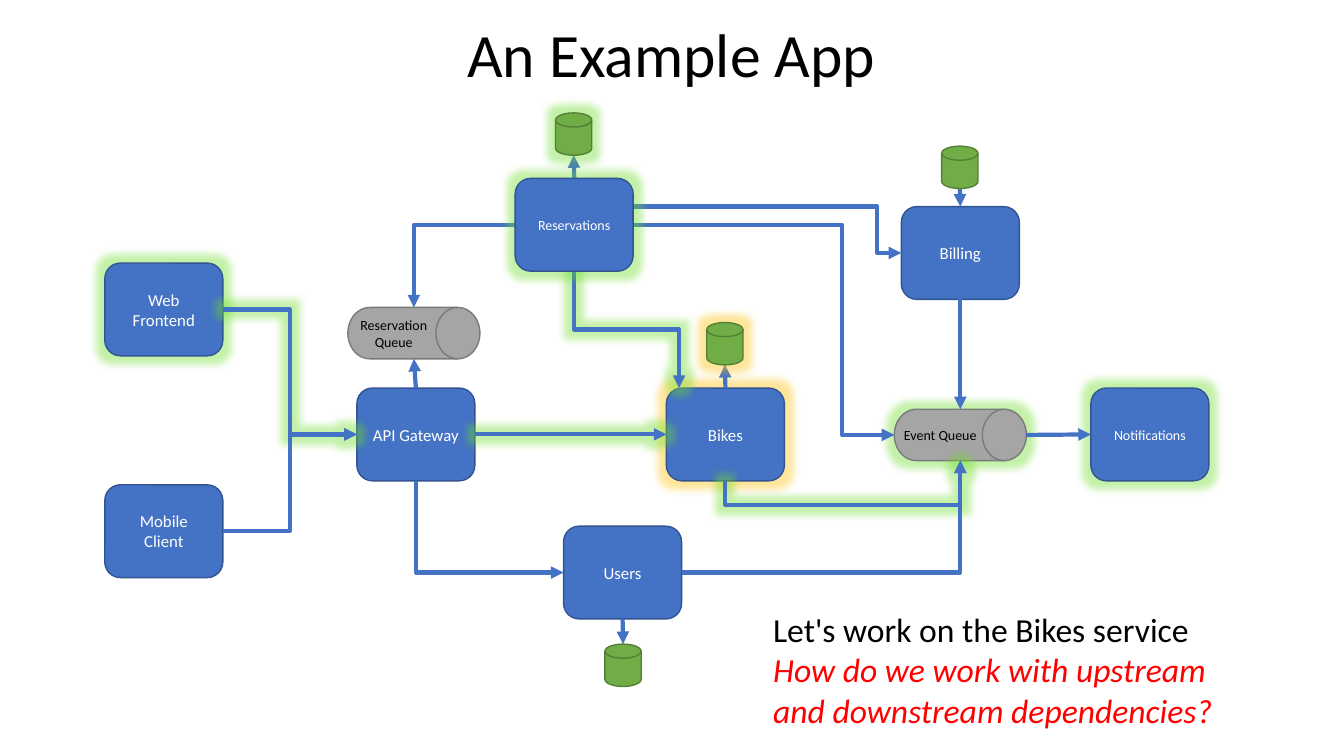
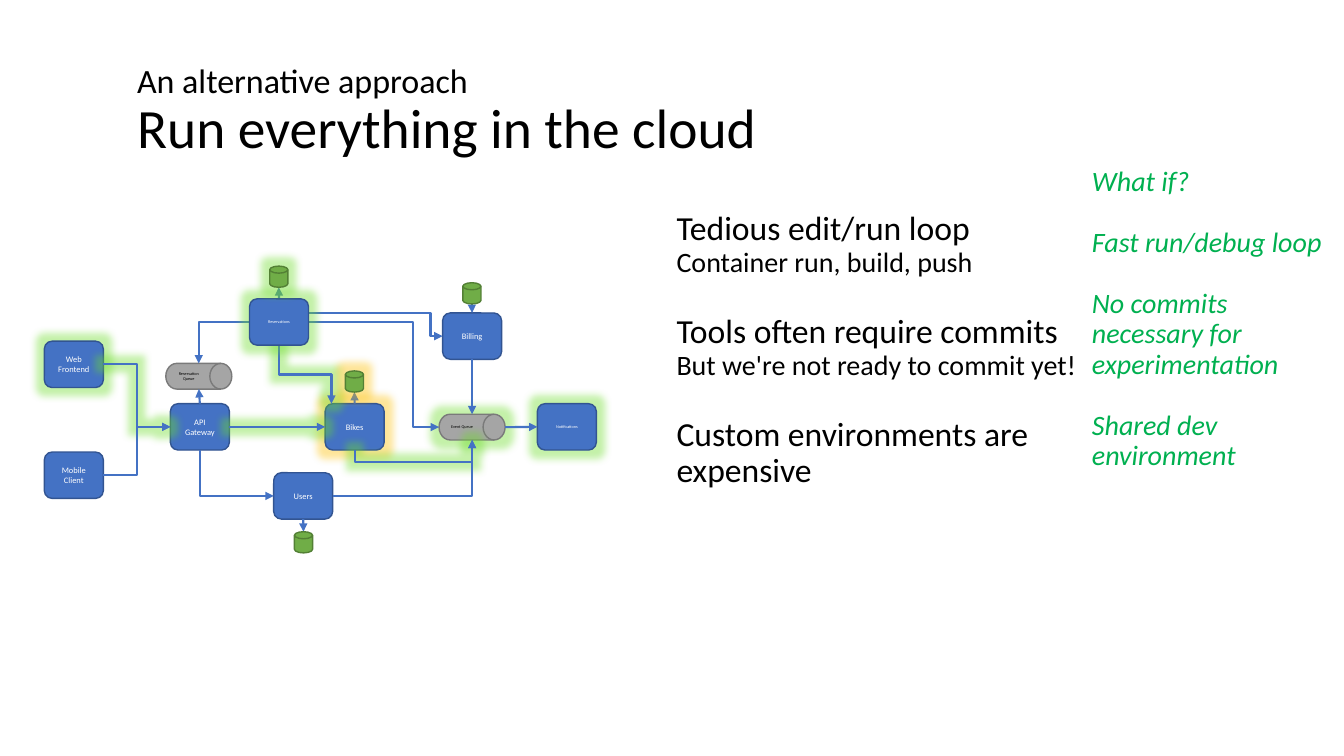
from dataclasses import dataclass

from lxml.etree import SubElement
from pptx import Presentation
from pptx.dml.color import RGBColor
from pptx.enum.shapes import MSO_CONNECTOR as CONNECTOR, MSO_SHAPE as SHAPE
from pptx.enum.text import MSO_ANCHOR as ANCHOR, MSO_AUTO_SIZE as AUTO_SIZE, PP_ALIGN as ALIGN
from pptx.oxml.ns import qn
from pptx.util import Inches, Pt


class Theme:
    font = "Calibri"
    black, white, red, green = "000000", "FFFFFF", "FF0000", "00B050"
    wire = "4472C4"
    glows = {"green": "6CDD29", "amber": "FFC000"}
    glow_radius, glow_alpha = Pt(11), 40000
    title, text, detail = 44, 24, 20
    kicker, headline = 24.3, 39.6
    line_spacing = 0.9


# kind: preset, width, height, fill, outline
KINDS = {
    "service": (SHAPE.ROUNDED_RECTANGLE, 1.17, 0.92, "4472C4", "325491"),
    "queue": (SHAPE.FLOWCHART_DIRECT_ACCESS_STORAGE, 1.31, 0.51, "A5A5A5", "7A7A7A"),
    "store": (SHAPE.FLOWCHART_MAGNETIC_DISK, 0.36, 0.42, "70AD47", "538035"),
}

# name: kind, left, top, glow, text size
NODES = {
    "API Gateway": ("service", 3.54, 3.85, None, "normal"),
    "Event Queue": ("queue", 8.87, 4.06, "green", "small"),
    "Bikes": ("service", 6.61, 3.85, "amber", "normal"),
    "Notifications": ("service", 10.82, 3.85, "green", "small"),
    "Web Frontend": ("service", 1.04, 2.61, "green", "normal"),
    "Mobile Client": ("service", 1.04, 4.81, None, "normal"),
    "Reservation Queue": ("queue", 3.45, 3.05, None, "small"),
    "Billing": ("service", 8.94, 2.05, None, "normal"),
    "Users": ("service", 5.59, 5.22, None, "normal"),
    "Reservations": ("service", 5.11, 1.77, "green", "small"),
    "Bikes store": ("store", 7.01, 3.2, "amber", None),
    "Reservations store": ("store", 5.51, 1.12, "green", None),
    "Billing store": ("store", 9.34, 1.45, None, None),
    "Users store": ("store", 6, 6.39, None, None),
}
IN_FRONT = [name for name in NODES if name.startswith("Reservations") or name.endswith("store")]

# (node, side, shift along the side), same for the end, route, glow
# route: "straight", "corner" or the share of the way at which the wire bends
WIRES = [
    (("Web Frontend", "right", 0), ("API Gateway", "left", 0), 0.5, "green"),
    (("Mobile Client", "right", 0), ("API Gateway", "left", 0), 0.5, None),
    (("Bikes", "top", 0), ("Bikes store", "bottom", 0), "straight", None),
    (("API Gateway", "top", 0), ("Reservation Queue", "bottom", 0), "straight", None),
    (("Bikes", "bottom", 0), ("Event Queue", "bottom", 0), -1.19, "green"),
    (("Event Queue", "right", 0), ("Notifications", "left", 0), "straight", None),
    (("Reservations", "left", 0), ("Reservation Queue", "top", 0), "corner", None),
    (("Billing", "bottom", 0), ("Event Queue", "top", 0), "straight", None),
    (("API Gateway", "bottom", 0), ("Users", "left", 0), "corner", None),
    (("API Gateway", "right", 0), ("Bikes", "left", 0), 0.5, "green"),
    (("Users", "right", 0), ("Event Queue", "bottom", 0), "corner", None),
    (("Reservations", "right", 0), ("Event Queue", "left", 0), 0.8, None),
    (("Reservations", "right", -0.18), ("Billing", "left", 0), 0.91, None),
    (("Reservations", "bottom", 0), ("Bikes", "top", -0.46), 0.5, "green"),
    (("Reservations", "top", 0), ("Reservations store", "bottom", 0), "straight", None),
    (("Billing store", "bottom", 0), ("Billing", "top", 0), "straight", None),
    (("Users", "bottom", 0), ("Users store", "top", 0), "straight", None),
]
SITES = {"top": 0, "left": 1, "bottom": 2, "right": 3}

# text, size, colour, italic, space before
PROMPT = [
    ("Let's work on the Bikes service", Theme.text, Theme.black, False, 0),
    ("How do we work with upstream", Theme.text, Theme.red, True, 0),
    ("and downstream dependencies?", Theme.text, Theme.red, True, 0),
]
DRAWBACKS = [
    ("Tedious edit/run loop", Theme.text, Theme.black, False, 0),
    ("Container run, build, push", Theme.detail, Theme.black, False, 0),
    ("Tools often require commits", Theme.text, Theme.black, False, 26),
    ("But we're not ready to commit yet!", Theme.detail, Theme.black, False, 0),
    ("Custom environments are expensive", Theme.text, Theme.black, False, 26),
]
WISHES = [
    (text, Theme.detail, Theme.green, True, 22 if number else 0)
    for number, text in enumerate([
        "What if?",
        "Fast run/debug loop",
        "No commits necessary for experimentation",
        "Shared dev environment",
    ])
]


@dataclass
class View:
    """Scale and offset at which the architecture is drawn."""
    scale: float
    left: float
    top: float
    wire_width: float
    sizes: dict

    def point(self, x, y):
        return Inches(self.left + self.scale * x), Inches(self.top + self.scale * y)

    def box(self, left, top, width, height):
        return *self.point(left, top), Inches(self.scale * width), Inches(self.scale * height)


FULL = View(1, 0, 0, 3, {"normal": 12, "small": 10})
HALF = View(0.5, -0.08, 2.08, 1.5, {"normal": 6, "small": 3})


def style_font(font, size, color, italic=False):
    font.name, font.size, font.italic = Theme.font, Pt(size), italic
    font.color.rgb = RGBColor.from_string(color)


def set_effects(shape, glow):
    """Replace the theme shadow by a glow, or by nothing."""
    properties = shape._element.spPr
    for old in properties.findall(qn("a:effectLst")):
        properties.remove(old)
    effects = SubElement(properties, qn("a:effectLst"))
    if glow:
        halo = SubElement(effects, qn("a:glow"), rad=str(Theme.glow_radius))
        color = SubElement(halo, qn("a:srgbClr"), val=Theme.glows[glow])
        SubElement(color, qn("a:alpha"), val=str(Theme.glow_alpha))


def add_label(shape, text, size, color):
    frame = shape.text_frame
    frame.word_wrap = True
    frame.vertical_anchor = ANCHOR.MIDDLE
    frame.text = text
    paragraph = frame.paragraphs[0]
    paragraph.alignment = ALIGN.CENTER
    style_font(paragraph.runs[0].font, size, color)


def add_node(slide, view, name):
    kind, left, top, glow, size = NODES[name]
    preset, width, height, fill, outline = KINDS[kind]
    shape = slide.shapes.add_shape(preset, *view.box(left, top, width, height))
    shape.fill.solid()
    shape.fill.fore_color.rgb = RGBColor.from_string(fill)
    shape.line.color.rgb = RGBColor.from_string(outline)
    shape.line.width = Pt(1)
    set_effects(shape, glow)
    if kind == "service":
        add_label(shape, name, view.sizes[size], Theme.white)
    elif kind == "queue":
        label = slide.shapes.add_textbox(*view.box(left - 0.05, top, 1.01, height))
        add_label(label, name, view.sizes[size], Theme.black)
    return shape


def anchor(name, side, shift):
    kind, left, top, *_ = NODES[name]
    _, width, height, *_ = KINDS[kind]
    if side in ("top", "bottom"):
        return left + width / 2 + shift, top + (height if side == "bottom" else 0)
    return left + (width if side == "right" else 0), top + height / 2 + shift


def can_join(name, side, shift):
    kind = NODES[name][0]
    return shift == 0 and (kind == "service" or kind == "queue" and side != "right")


def bend(connector, start, end, vertical, route):
    """Shape an elbow that leaves its start vertically or horizontally."""
    (x1, y1), (x2, y2) = start, end
    width, height = abs(x2 - x1), abs(y2 - y1)
    flips = x2 < x1, y2 < y1
    if vertical:
        width, height = height, width
        flips = y2 < y1, x2 > x1
    connector.left = int((x1 + x2 - width) / 2)
    connector.top = int((y1 + y2 - height) / 2)
    connector.width, connector.height = width, height
    frame = connector._element.spPr.find(qn("a:xfrm"))
    frame.set("rot", "5400000" if vertical else "0")
    for key, flip in zip(("flipH", "flipV"), flips):
        frame.set(key, str(int(flip)))
    geometry = connector._element.spPr.find(qn("a:prstGeom"))
    if route == "corner":
        geometry.set("prst", "bentConnector2")
        return
    adjustments = geometry.find(qn("a:avLst"))
    if adjustments is None:
        adjustments = SubElement(geometry, qn("a:avLst"))
    SubElement(adjustments, qn("a:gd"), name="adj1", fmla=f"val {round(route * 100000)}")


def add_wire(slide, view, shapes, source, target, route, glow):
    start, end = view.point(*anchor(*source)), view.point(*anchor(*target))
    kind = CONNECTOR.STRAIGHT if route == "straight" else CONNECTOR.ELBOW
    connector = slide.shapes.add_connector(kind, *start, *end)
    for place, join in ((source, connector.begin_connect), (target, connector.end_connect)):
        if can_join(*place):
            join(shapes[place[0]], SITES[place[1]])
    if route != "straight":
        bend(connector, start, end, source[1] in ("top", "bottom"), route)
    connector.line.color.rgb = RGBColor.from_string(Theme.wire)
    connector.line.width = Pt(view.wire_width)
    SubElement(connector.line._get_or_add_ln(), qn("a:tailEnd"), type="triangle")
    set_effects(connector, glow)


def add_architecture(slide, view):
    shapes = {name: add_node(slide, view, name) for name in NODES}
    for wire in WIRES:
        add_wire(slide, view, shapes, *wire)
    for name in IN_FRONT:
        slide.shapes._spTree.append(shapes[name]._element)


def move(shape, left, top, width, height):
    shape.left, shape.top = Inches(left), Inches(top)
    shape.width, shape.height = Inches(width), Inches(height)


def set_title(slide, box, lines, alignment):
    title = slide.shapes.title
    move(title, *box)
    frame = title.text_frame
    frame.auto_size, frame.vertical_anchor = AUTO_SIZE.NONE, ANCHOR.MIDDLE
    frame.text = "\v".join(text for text, _ in lines)
    paragraph = frame.paragraphs[0]
    paragraph.alignment, paragraph.line_spacing = alignment, Theme.line_spacing
    for run, (_, size) in zip(paragraph.runs, lines):
        style_font(run.font, size, Theme.black)


def fill_text(frame, lines, line_spacing):
    frame.text = "\n".join(line[0] for line in lines)
    for paragraph, (_, size, color, italic, space) in zip(frame.paragraphs, lines):
        properties = paragraph._p.get_or_add_pPr()
        properties.set("marL", "0")
        properties.set("indent", "0")
        SubElement(properties, qn("a:buNone"))
        paragraph.alignment = ALIGN.LEFT
        paragraph.line_spacing, paragraph.space_before = line_spacing, Pt(space)
        style_font(paragraph.runs[0].font, size, color, italic)


def add_example_slide(presentation):
    slide = presentation.slides.add_slide(presentation.slide_layouts.get_by_name("Title Only"))
    set_title(slide, (1.87, 0.19, 9.58, 0.77), [("An Example App", Theme.title)], ALIGN.CENTER)
    add_architecture(slide, FULL)
    prompt = slide.shapes.add_textbox(Inches(7.57), Inches(5.99), Inches(4.64), Inches(1.31))
    prompt.text_frame.word_wrap = False
    fill_text(prompt.text_frame, PROMPT, 1.0)


def add_cloud_slide(presentation):
    slide = presentation.slides.add_slide(presentation.slide_layouts.get_by_name("Two Content"))
    lines = [("An alternative approach", Theme.kicker),
             ("Run everything in the cloud", Theme.headline)]
    set_title(slide, (1.26, 0.73, 10.06, 0.77), lines, ALIGN.LEFT)
    columns = [((6.61, 2.05, 4.45, 4.66), DRAWBACKS), ((10.73, 1.61, 2.59, 4.66), WISHES)]
    for index, (box, paragraphs) in enumerate(columns, start=1):
        body = slide.placeholders[index]
        move(body, *box)
        body.text_frame.auto_size = AUTO_SIZE.NONE
        fill_text(body.text_frame, paragraphs, Theme.line_spacing)
    add_architecture(slide, HALF)


def main():
    presentation = Presentation()
    presentation.slide_width, presentation.slide_height = Inches(13.33), Inches(7.5)
    add_example_slide(presentation)
    add_cloud_slide(presentation)
    presentation.save("out.pptx")


if __name__ == "__main__":
    main()
